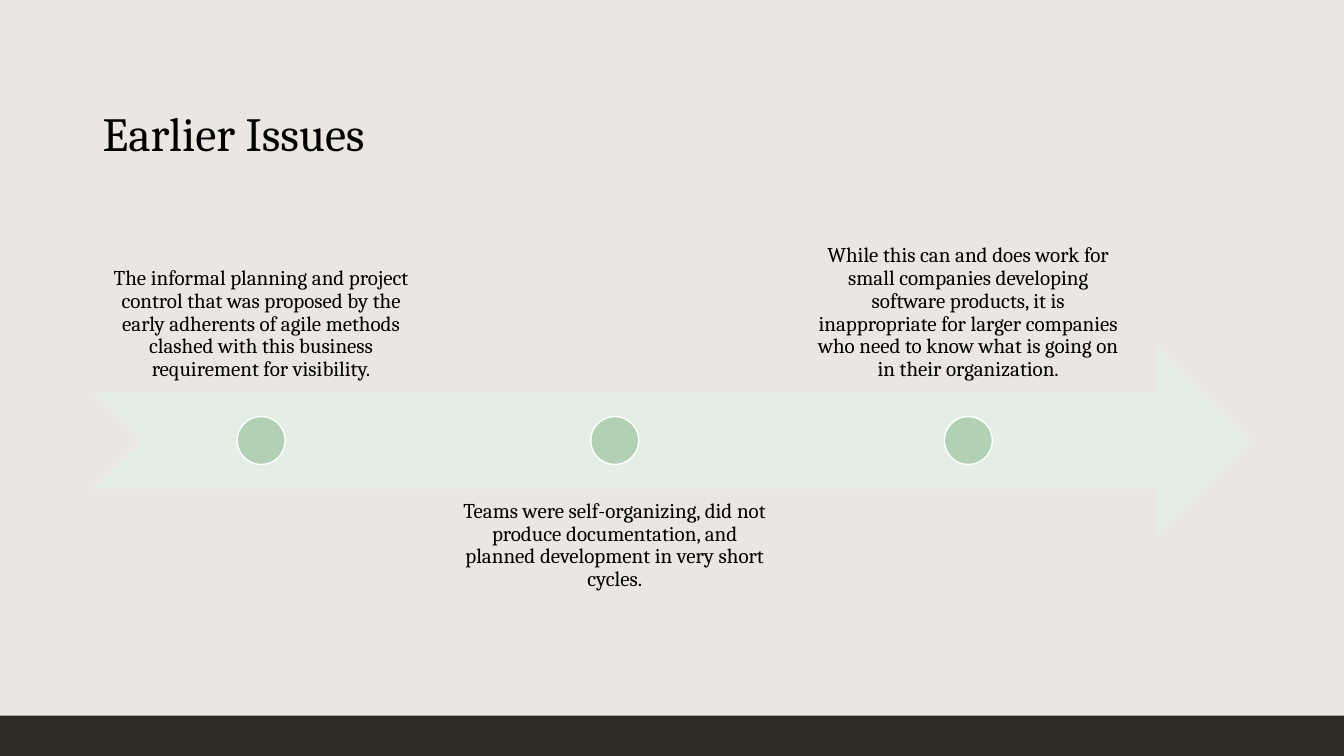
"""Build the Earlier Issues timeline slide."""
from pptx import Presentation
from pptx import util as u
from pptx.dml.color import RGBColor
from pptx.enum import shapes, text

TITLE = "Earlier Issues"
ISSUES = [
    "The informal planning and project control that was proposed by the early "
    "adherents of agile methods clashed with this business requirement for visibility.",
    "Teams were self-organizing, did not produce documentation, and planned "
    "development in very short cycles.",
    "While this can and does work for small companies developing software products, "
    "it is inappropriate for larger companies who need to know what is going on "
    "in their organization.",
]

BACKGROUND = RGBColor(0xEA, 0xE7, 0xE3)
FOOTER = RGBColor(0x2E, 0x29, 0x23)
BAND = RGBColor(0xE4, 0xEE, 0xE5)
MARKER = RGBColor(0xB2, 0xD0, 0xB4)
WHITE = RGBColor(0xFF, 0xFF, 0xFF)
BLACK = RGBColor(0, 0, 0)

WIDTH, HEIGHT = 13.33, 7.5
FOOTER_HEIGHT = 0.4
LEFT, CONTENT_WIDTH = 0.92, 11.5
BAND_TOP, BAND_HEIGHT = 3.42, 1.9
ISSUE_WIDTH = 3.34
PITCH = ISSUE_WIDTH * 1.05
DOT = BAND_HEIGHT / 4
ABOVE, BELOW = 2, BAND_TOP + BAND_HEIGHT * 0.75


def add_figure(slide, kind, box, fill, outline=None):
    figure = slide.shapes.add_shape(kind, *map(u.Inches, box))
    figure.shadow.inherit = False
    figure.fill.solid()
    figure.fill.fore_color.rgb = fill
    if outline is None:
        figure.line.fill.background()
    else:
        figure.line.color.rgb = outline
        figure.line.width = u.Pt(1)


def add_words(slide, words, box, size, frame_format, paragraph_format):
    frame = slide.shapes.add_textbox(*map(u.Inches, box)).text_frame
    paragraph = frame.paragraphs[0]
    run = paragraph.add_run()
    run.text = words
    run.font.color.rgb = BLACK
    formats = (
        (frame, {"word_wrap": True, **frame_format}),
        (paragraph, {"line_spacing": 0.9, **paragraph_format}),
        (run.font, {"name": "Cambria", "size": u.Pt(size)}),
    )
    for target, values in formats:
        for key, value in values.items():
            setattr(target, key, value)


def main():
    deck = Presentation()
    deck.slide_width, deck.slide_height = u.Inches(WIDTH), u.Inches(HEIGHT)
    slide = deck.slides.add_slide(deck.slide_layouts[6])
    slide.background.fill.solid()
    slide.background.fill.fore_color.rgb = BACKGROUND

    kinds, anchors = shapes.MSO_SHAPE, text.MSO_ANCHOR
    add_figure(slide, kinds.RECTANGLE,
               (0, HEIGHT - FOOTER_HEIGHT, WIDTH, FOOTER_HEIGHT), FOOTER)
    add_words(slide, TITLE, (LEFT, 0.4, CONTENT_WIDTH, 1.25), 34,
              {"vertical_anchor": anchors.BOTTOM}, {})
    add_figure(slide, kinds.NOTCHED_RIGHT_ARROW,
               (LEFT, BAND_TOP, CONTENT_WIDTH, BAND_HEIGHT), BAND)

    margins = {f"margin_{side}": u.Inches(0.12)
               for side in ("left", "right", "top", "bottom")}
    for index, issue in enumerate(ISSUES):
        left = LEFT + index * PITCH
        is_below = index % 2
        top = BELOW if is_below else ABOVE
        anchor = anchors.TOP if is_below else anchors.BOTTOM
        add_words(slide, issue, (left, top, ISSUE_WIDTH, BAND_HEIGHT), 15,
                  {"vertical_anchor": anchor, **margins},
                  {"alignment": text.PP_ALIGN.CENTER})
        dot_left = left + (ISSUE_WIDTH - DOT) / 2
        dot_top = BAND_TOP + (BAND_HEIGHT - DOT) / 2
        add_figure(slide, kinds.OVAL, (dot_left, dot_top, DOT, DOT), MARKER, WHITE)

    deck.save("out.pptx")


if __name__ == "__main__":
    main()
